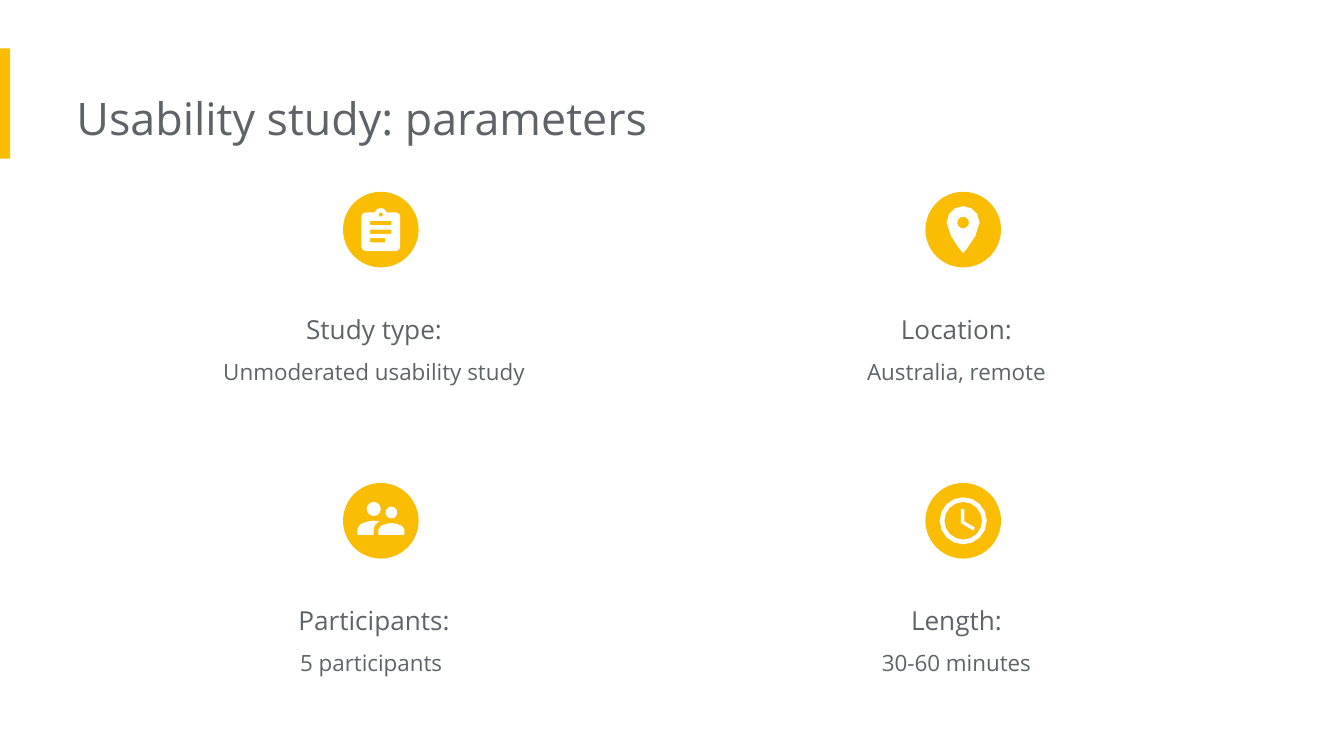
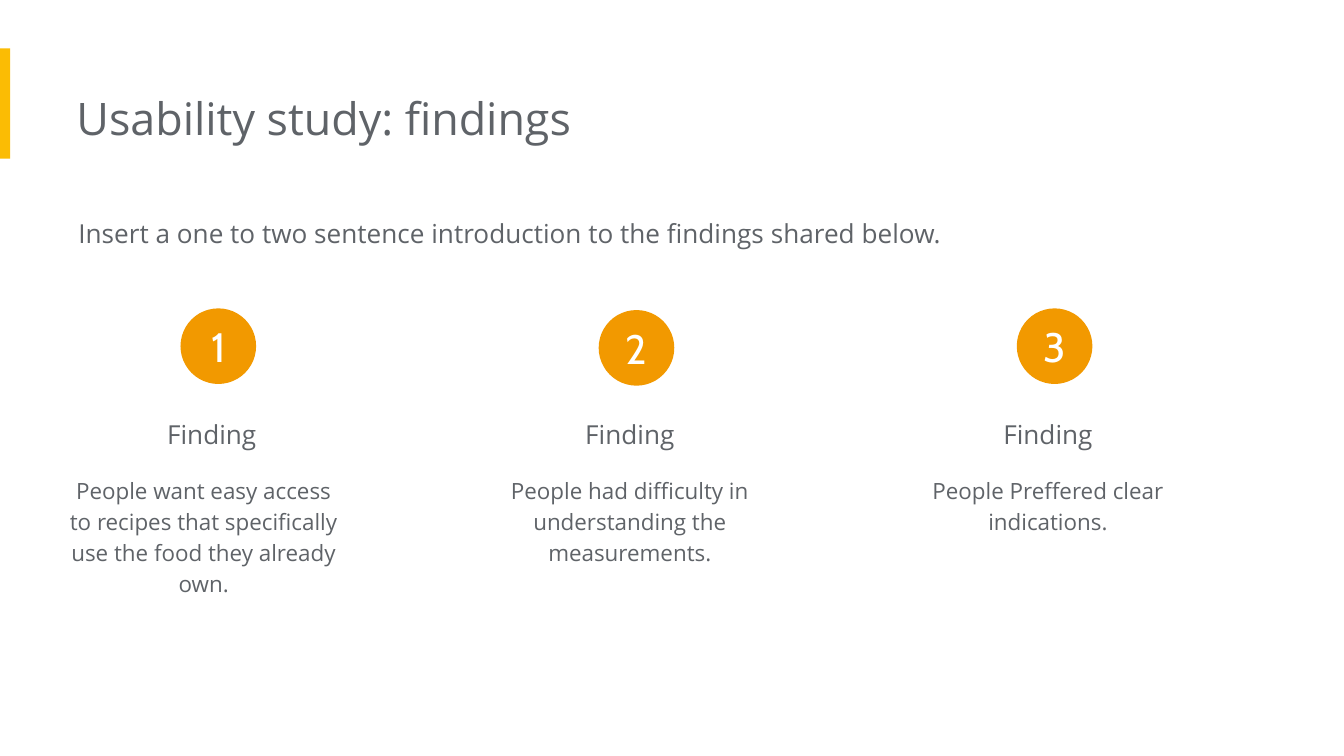
from dataclasses import dataclass
from math import cos, pi, sin

from pptx import Presentation
from pptx.dml.color import RGBColor
from pptx.enum.shapes import MSO_SHAPE
from pptx.enum.text import MSO_ANCHOR, MSO_AUTO_SIZE, PP_ALIGN
from pptx.util import Pt

RECTANGLE, OVAL = MSO_SHAPE.RECTANGLE, MSO_SHAPE.OVAL
LEFT, CENTER = PP_ALIGN.LEFT, PP_ALIGN.CENTER
MIDDLE = MSO_ANCHOR.MIDDLE
GROW = MSO_AUTO_SIZE.SHAPE_TO_FIT_TEXT


@dataclass(frozen=True)
class Theme:
    yellow: RGBColor = RGBColor(0xFB, 0xBC, 0x04)
    orange: RGBColor = RGBColor(0xF2, 0x99, 0x00)
    gray: RGBColor = RGBColor(0x5F, 0x63, 0x68)
    white: RGBColor = RGBColor(0xFF, 0xFF, 0xFF)
    text_font: str = "Open Sans"
    number_font: str = "Cabin"
    title_size: float = 24
    number_size: float = 22
    heading_size: float = 14
    body_size: float = 12


@dataclass(frozen=True)
class Box:
    left: float
    top: float
    width: float
    height: float

    def inner(self, dx, dy, width, height):
        return Box(self.left + dx, self.top + dy, width, height)

    def lengths(self):
        return [Pt(v) for v in (self.left, self.top, self.width, self.height)]


@dataclass(frozen=True)
class Icon:
    """Outlines on a 24-unit grid; scale is points per unit."""
    outlines: list
    center: tuple = (12, 12)
    scale: float = 1.26


@dataclass(frozen=True)
class Finding:
    text: str
    lines: int
    shift: float = -4.3
    badge_drop: float = 0


THEME = Theme()
SLIDE_WIDTH, SLIDE_HEIGHT = 720, 405
BADGE_SIZE = 40.5
CURVE_STEPS = 3
GRID = 100  # freeform units per icon unit


def disc(x, y, radius, steps):
    angles = [2 * pi * i / steps for i in range(steps)]
    return [(x + radius * cos(a), y + radius * sin(a)) for a in angles]


def bar(left, top, right, bottom):
    return [(left, top), (right, top), (right, bottom), (left, bottom)]


# A pair is a corner; six numbers are a cubic curve (two controls, then the end).
CLIPBOARD = Icon([
    [(19, 3), (14.82, 3), (14.4, 1.84, 13.3, 1, 12, 1),
     (10.7, 1, 9.6, 1.84, 9.18, 3), (5, 3), (3.9, 3, 3, 3.9, 3, 5),
     (3, 19), (3, 20.1, 3.9, 21, 5, 21), (19, 21),
     (20.1, 21, 21, 20.1, 21, 19), (21, 5), (21, 3.9, 20.1, 3, 19, 3)],
    disc(12, 4, 1, 8),
    bar(7, 7, 17, 9), bar(7, 11, 17, 13), bar(7, 15, 14, 17),
], center=(12, 11), scale=1.15)
PIN = Icon([
    [(12, 2), (8.13, 2, 5, 5.13, 5, 9), (5, 14.25, 12, 22, 12, 22),
     (12, 22, 19, 14.25, 19, 9), (19, 5.13, 15.87, 2, 12, 2)],
    disc(12, 9, 2.5, 12),
])
PEOPLE = Icon([
    disc(16.5, 9.5, 2.5, 12), disc(9, 8, 3, 12),
    [(16.5, 14), (14.67, 14, 11, 14.92, 11, 16.75), (11, 19), (22, 19),
     (22, 16.75), (22, 14.92, 18.33, 14, 16.5, 14)],
    [(9, 13), (6.67, 13, 2, 14.17, 2, 16.5), (2, 19), (9, 19), (9, 16.75),
     (9, 15.9, 9.33, 14.41, 11.37, 13.28), (10.5, 13.1, 9.66, 13, 9, 13)],
], center=(12, 13))
CLOCK = Icon([
    disc(12, 12, 10, 16), disc(12, 12, 8, 16),
    [(11, 7), (11, 13), (16.25, 16.15), (17, 14.92), (12.5, 12.25), (12.5, 7)],
])

PARAMETERS = [
    (CLIPBOARD, "Study type:", "Unmoderated usability study"),
    (PIN, "Location:", "Australia, remote"),
    (PEOPLE, "Participants:", "5 participants "),
    (CLOCK, "Length:", "30-60 minutes"),
]
INTRODUCTION = "Insert a one to two sentence introduction to the findings shared below."
FINDINGS = [
    Finding("People want easy access to recipes that specifically "
            "use the food they already own.", 4, shift=-8.6),
    Finding("People had difficulty in understanding the measurements.", 3,
            badge_drop=0.9),
    Finding("People Preffered clear indications.", 2),
]


def style_paragraph(paragraph, size, color, font=THEME.text_font,
                    align=LEFT, spacing=None):
    paragraph.alignment = align
    if spacing:
        paragraph.line_spacing = spacing
    for run in paragraph.runs:
        run.font.name = font
        run.font.size = Pt(size)
        run.font.color.rgb = color


def add_text(slide, box, lines, align=LEFT, spacing=None):
    """Add one paragraph for each (text, size) pair."""
    frame = slide.shapes.add_textbox(*box.lengths()).text_frame
    frame.word_wrap = True
    frame.auto_size = GROW
    frame.margin_left = 0
    frame.margin_top = frame.margin_right = frame.margin_bottom = Pt(7.2)
    frame.text = "\n".join(text for text, _ in lines)
    for paragraph, (_, size) in zip(frame.paragraphs, lines):
        style_paragraph(paragraph, size, THEME.gray, align=align, spacing=spacing)


def paint(shape, color):
    shape.shadow.inherit = False
    shape.fill.solid()
    shape.fill.fore_color.rgb = color
    shape.line.fill.background()


def add_filled(slide, preset, box, color):
    shape = slide.shapes.add_shape(preset, *box.lengths())
    paint(shape, color)
    return shape


def flatten(outline):
    """Turn corners and cubic curves into a list of points."""
    points = []
    for item in outline:
        if len(item) == 2:
            points.append(item)
            continue
        x0, y0 = points[-1]
        x1, y1, x2, y2, x3, y3 = item
        for step in range(1, CURVE_STEPS + 1):
            t = step / CURVE_STEPS
            a, b, c, d = (1 - t) ** 3, 3 * t * (1 - t) ** 2, 3 * t * t * (1 - t), t ** 3
            points.append((a * x0 + b * x1 + c * x2 + d * x3,
                           a * y0 + b * y1 + c * y2 + d * y3))
    return points


def add_icon(slide, badge, icon):
    """Draw the icon with its center on the middle of the badge."""
    builder = None
    for outline in icon.outlines:
        start, *rest = [(x * GRID, y * GRID) for x, y in flatten(outline)]
        if builder is None:
            builder = slide.shapes.build_freeform(*start, scale=Pt(icon.scale) / GRID)
        else:
            builder.move_to(*start)
        builder.add_line_segments(rest, close=True)
    center_x, center_y = icon.center
    origin_x = badge.left + badge.width / 2 - center_x * icon.scale
    origin_y = badge.top + badge.height / 2 - center_y * icon.scale
    paint(builder.convert_to_shape(Pt(origin_x), Pt(origin_y)), THEME.white)


def add_titled_slide(prs, title):
    slide = prs.slides.add_slide(prs.slide_layouts[6])
    add_filled(slide, RECTANGLE, Box(0, 25.9, 5.5, 59.2), THEME.yellow)
    add_text(slide, Box(41, 41.4, 484.6, 44), [(title, THEME.title_size)])
    return slide


def add_parameter(slide, box, icon, label, value):
    badge = box.inner(115.5, 0, BADGE_SIZE, BADGE_SIZE)
    add_filled(slide, OVAL, badge, THEME.yellow)
    add_icon(slide, badge, icon)
    add_text(slide, box.inner(0, 49.5, box.width, 54.7),
             [(label, THEME.heading_size), (value, THEME.body_size)],
             align=CENTER, spacing=1.5)


def add_finding(slide, box, number, finding):
    badge_box = box.inner(53.5, finding.badge_drop, BADGE_SIZE, BADGE_SIZE)
    badge = add_filled(slide, OVAL, badge_box, THEME.orange)
    frame = badge.text_frame
    frame.margin_left = frame.margin_top = frame.margin_right = frame.margin_bottom = 0
    frame.vertical_anchor = MIDDLE
    frame.text = str(number)
    style_paragraph(frame.paragraphs[0], THEME.number_size, THEME.white,
                    THEME.number_font, CENTER)
    add_text(slide, box.inner(0, 43.6, box.width, 31.7),
             [("Finding", THEME.heading_size)], align=CENTER, spacing=1.5)
    add_text(slide, box.inner(finding.shift, 81.3, 156.2, 15 + 16.6 * finding.lines),
             [(finding.text, THEME.body_size)], align=CENTER, spacing=1.15)


def add_parameters_slide(prs):
    slide = add_titled_slide(prs, "Usability study: parameters")
    for index, parameter in enumerate(PARAMETERS):
        row, column = divmod(index, 2)
        box = Box(68.25 + 312 * column, 102.75 + 156 * row, 271.5, 104)
        add_parameter(slide, box, *parameter)


def add_findings_slide(prs):
    slide = add_titled_slide(prs, "Usability study: findings")
    add_text(slide, Box(42, 106.6, 511.2, 31.7),
             [(INTRODUCTION, THEME.heading_size)], spacing=1.15)
    for index, finding in enumerate(FINDINGS):
        box = Box(43.2 + 224 * index, 165.2, 147.6, 163)
        add_finding(slide, box, index + 1, finding)


def main():
    prs = Presentation()
    prs.slide_width, prs.slide_height = Pt(SLIDE_WIDTH), Pt(SLIDE_HEIGHT)
    add_parameters_slide(prs)
    add_findings_slide(prs)
    prs.save("out.pptx")


if __name__ == "__main__":
    main()
